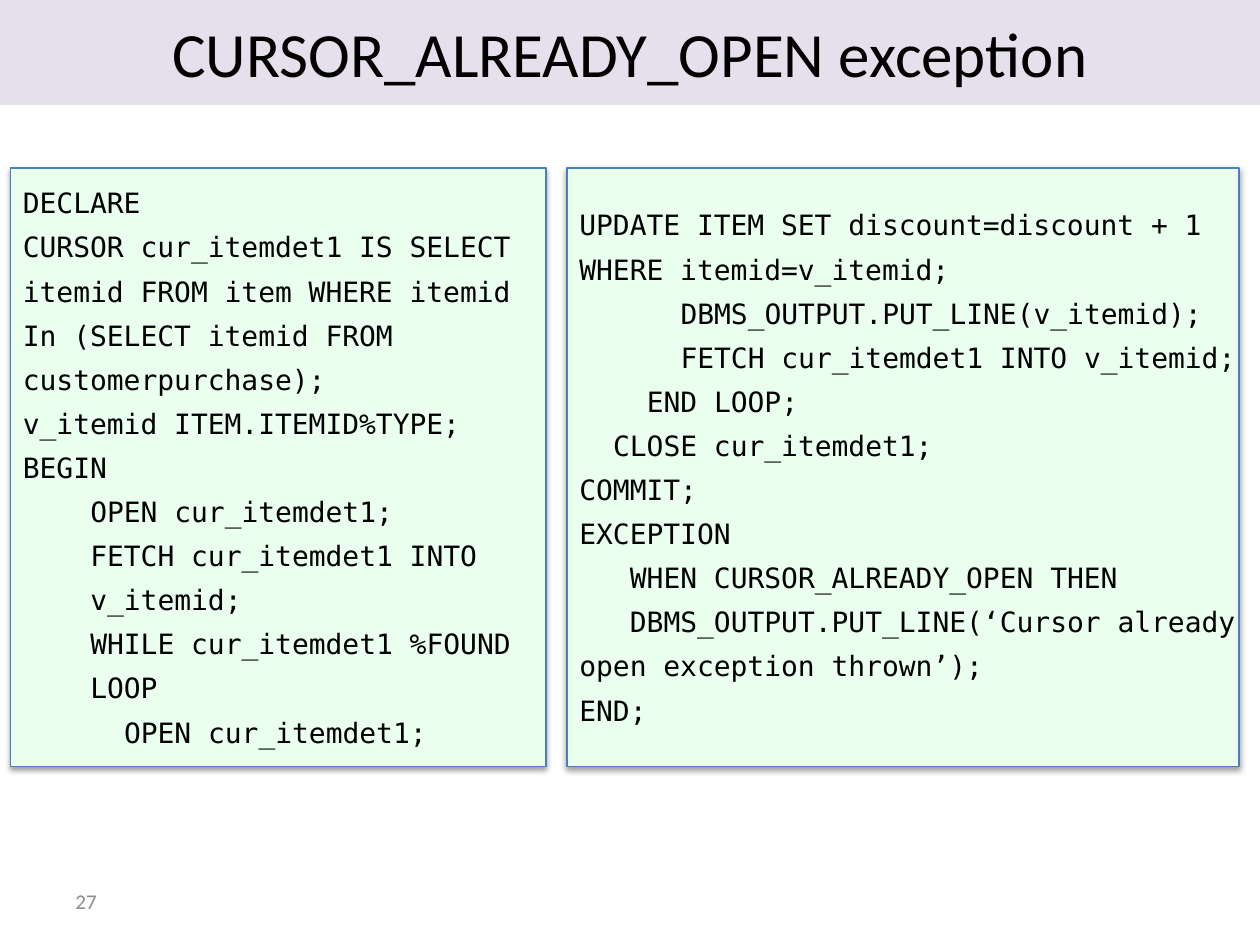
from lxml.etree import SubElement
from pptx import Presentation
from pptx.dml.color import RGBColor
from pptx.enum.shapes import MSO_SHAPE
from pptx.enum.text import MSO_ANCHOR, MSO_AUTO_SIZE, PP_ALIGN
from pptx.oxml.ns import qn
from pptx.util import Inches, Pt

COLORS = {
    "band": "E6E0EC",
    "panel": "EBFFEF",
    "border": "4B7EBC",
    "text": "000000",
    "number": "8C8C8C",
}
CODE_FONT = "DejaVu Sans Mono"
CODE_SIZE = 16
CHARACTER_WIDTH = Pt(CODE_SIZE * 0.602)
COLUMN = ROW = Inches(1 / 12)

DECLARATION = [
    (0, "DECLARE"),
    (0, "CURSOR cur_itemdet1 IS SELECT"),
    (0, "itemid FROM item WHERE itemid"),
    (0, "In (SELECT itemid FROM"),
    (0, "customerpurchase);"),
    (0, "v_itemid ITEM.ITEMID%TYPE;"),
    (0, "BEGIN"),
    (4, "OPEN cur_itemdet1;"),
    (4, "FETCH cur_itemdet1 INTO"),
    (4, "v_itemid;"),
    (4, "WHILE cur_itemdet1 %FOUND"),
    (4, "LOOP"),
    (6, "OPEN cur_itemdet1;"),
]
HANDLING = [
    (0, "UPDATE ITEM SET discount=discount + 1"),
    (0, "WHERE itemid=v_itemid;"),
    (6, "DBMS_OUTPUT.PUT_LINE(v_itemid);"),
    (6, "FETCH cur_itemdet1 INTO v_itemid;"),
    (4, "END LOOP;"),
    (2, "CLOSE cur_itemdet1;"),
    (0, "COMMIT;"),
    (0, "EXCEPTION"),
    (3, "WHEN CURSOR_ALREADY_OPEN THEN"),
    (3, "DBMS_OUTPUT.PUT_LINE(‘Cursor already"),
    (0, "open exception thrown’);"),
    (0, "END;"),
]


def color(name):
    return RGBColor.from_string(COLORS[name])


def grid_box(column, row, columns, rows):
    return column * COLUMN, row * ROW, columns * COLUMN, rows * ROW


def set_font(paragraph, name, size, color_name):
    paragraph.font.name = name
    paragraph.font.size = Pt(size)
    paragraph.font.color.rgb = color(color_name)


def add_shadow(shape):
    effects = SubElement(shape.element.spPr, qn("a:effectLst"))
    shadow = SubElement(effects, qn("a:outerShdw"), blurRad=str(Pt(3.1)),
                        dist=str(Pt(1.6)), dir="5400000", rotWithShape="0")
    shade = SubElement(shadow, qn("a:srgbClr"), val=COLORS["text"])
    SubElement(shade, qn("a:alpha"), val="38000")


def fill_title(slide, box, text):
    title = slide.shapes.title
    title.left, title.top, title.width, title.height = box
    title.fill.solid()
    title.fill.fore_color.rgb = color("band")
    frame = title.text_frame
    frame.text = text
    frame.auto_size = MSO_AUTO_SIZE.NONE
    frame.vertical_anchor = MSO_ANCHOR.MIDDLE
    paragraph = frame.paragraphs[0]
    paragraph.alignment = PP_ALIGN.CENTER
    set_font(paragraph, "Calibri", 36, "text")


def add_code_panel(slide, box, lines):
    panel = slide.shapes.add_shape(MSO_SHAPE.ROUNDED_RECTANGLE, *box)
    panel.adjustments[0] = 0
    panel.fill.solid()
    panel.fill.fore_color.rgb = color("panel")
    panel.line.color.rgb = color("border")
    panel.line.width = Pt(0.75)
    add_shadow(panel)
    frame = panel.text_frame
    frame.word_wrap = False
    frame.vertical_anchor = MSO_ANCHOR.MIDDLE
    frame.text = "\n".join(text for _, text in lines)
    for paragraph, (indent, _) in zip(frame.paragraphs, lines):
        paragraph.alignment = PP_ALIGN.LEFT
        paragraph.space_before = Pt(6)
        set_font(paragraph, CODE_FONT, CODE_SIZE, "text")
        properties = paragraph._p.get_or_add_pPr()
        properties.set("marL", str(indent * CHARACTER_WIDTH))
        properties.set("indent", "0")


def add_slide_number(slide, box, number):
    frame = slide.shapes.add_textbox(*box).text_frame
    frame.word_wrap = True
    frame.vertical_anchor = MSO_ANCHOR.MIDDLE
    frame.text = str(number)
    set_font(frame.paragraphs[0], "Calibri", 12, "number")


def main():
    presentation = Presentation()
    presentation.slide_width = Inches(10)
    presentation.slide_height = Inches(7.5)
    slide = presentation.slides.add_slide(presentation.slide_layouts[5])
    add_slide_number(slide, grid_box(6, 83.4, 28, 4.8), 27)
    fill_title(slide, grid_box(0, 0, 120, 10), "CURSOR_ALREADY_OPEN exception")
    add_code_panel(slide, grid_box(1, 16, 51, 57), DECLARATION)
    add_code_panel(slide, grid_box(54, 16, 64, 57), HANDLING)
    presentation.save("out.pptx")


if __name__ == "__main__":
    main()
